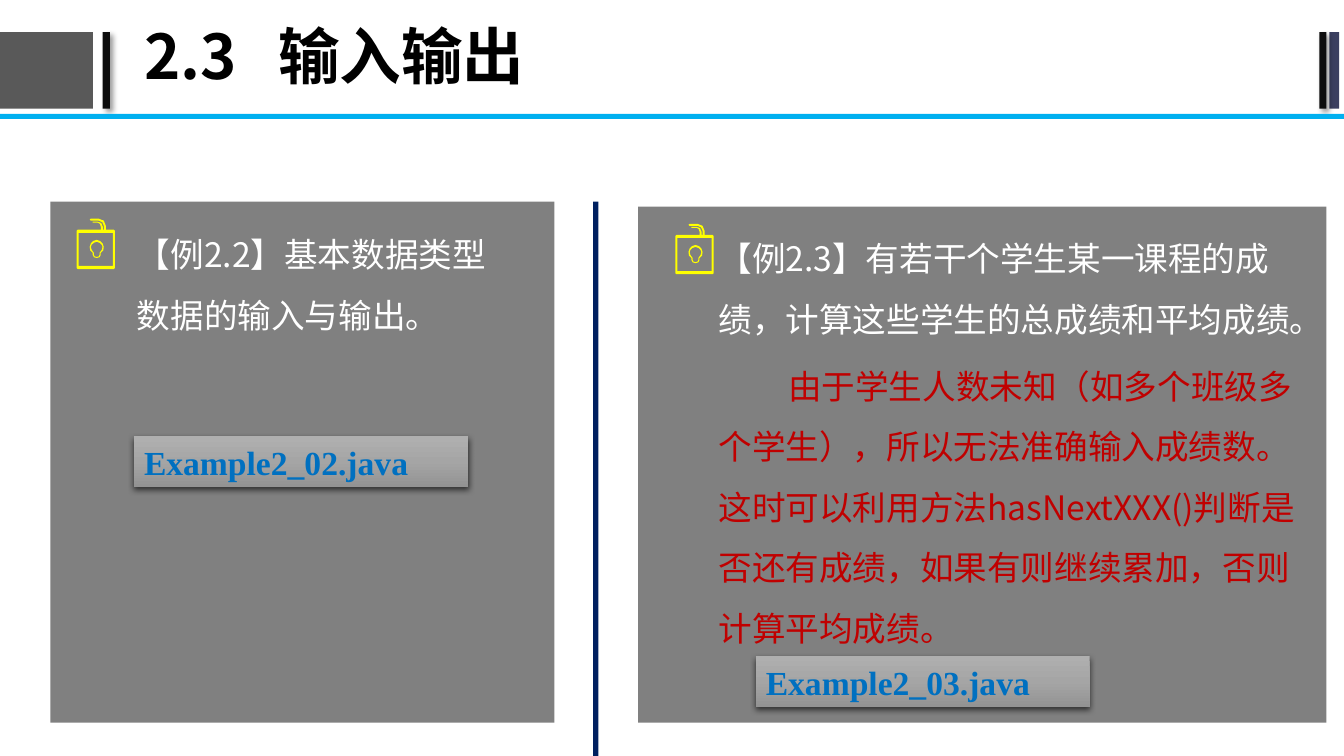
"""Build the slide on input and output with its two worked examples."""
from copy import deepcopy

from lxml.etree import SubElement as Sub
from pptx import Presentation as Deck
from pptx.dml.color import RGBColor as Color
from pptx.enum.shapes import MSO_SHAPE as Form
from pptx.enum.text import MSO_ANCHOR as Anchor, PP_ALIGN as Align
from pptx.oxml.ns import qn
from pptx.util import Cm, Pt

HUES = {
    "black": "000000", "ink": "0D0D0D", "slate": "595959", "dusk": "3B3F60",
    "sky": "00B0F0", "navy": "002060", "gray": "808080", "gold": "FFFF00",
    "white": "FFFFFF", "red": "C00000", "blue": "0070C0",
    "light": "AFAFAF", "mid": "A5A5A5", "dark": "939393",
}
SANS, SERIF = "Noto Sans CJK SC", "Times New Roman"

CASE = [
    [(370, 110), (290, 110), (290, 70), (270, 20), (220, 0), (140, 0),
     (130, 10), (140, 20), (220, 20), (255, 35), (270, 70), (270, 110),
     (260, 110), (260, 80), (245, 43), (210, 30), (160, 30), (160, 40),
     (210, 40), (232, 52), (240, 80), (240, 110), (10, 110), (0, 120),
     (0, 490), (10, 500), (370, 500), (380, 490), (380, 120)],
    [(360, 470), (20, 470), (20, 140), (360, 140)],
]
BULB = [
    [(200, 210), (235, 222), (258, 245), (270, 280), (265, 315),
     (240, 340), (240, 360), (228, 383), (200, 390)],
    [(200, 230), (230, 240), (250, 260), (258, 280), (250, 310),
     (235, 330), (228, 340), (228, 360), (220, 375), (200, 380)],
]


def tint(name):
    return Color.from_string(HUES[name])


def mirror(half):
    return half + [(400 - x, y) for x, y in half[-2:0:-1]]


def write(par, text, size=24, face=SANS, hue="white", bold=False,
          lines=None, before=None, indent=None, tab=None):
    props = par._p.get_or_add_pPr()
    if indent:
        props.set("indent", str(Cm(indent)))
    if tab:
        stops = Sub(props, qn("a:tabLst"))
        Sub(stops, qn("a:tab"), pos=str(Cm(tab)), algn="l")
    par.alignment = Align.LEFT
    if lines:
        par.line_spacing = lines
    if before:
        par.space_before = Pt(before)
    run = par.add_run()
    run.text = text
    font = run.font
    font.size, font.name, font.bold = Pt(size), face, bold
    font.color.rgb = tint(hue)
    Sub(run._r.get_or_add_rPr(), qn("a:ea"), typeface=face)


class Page:
    def __init__(self, slide):
        self.shapes = slide.shapes

    def block(self, x, y, wide, high, hue, shade=None):
        box = self.shapes.add_shape(
            Form.RECTANGLE, Cm(x), Cm(y), Cm(wide), Cm(high))
        box.fill.solid()
        box.fill.fore_color.rgb = tint(hue)
        box.line.fill.background()
        box.shadow.inherit = False
        if shade:
            self.shade(box, *shade)
        return box

    def shade(self, box, alpha, blur, dist, angle):
        effect = box._element.spPr.find(qn("a:effectLst"))
        drop = Sub(effect, qn("a:outerShdw"), blurRad=str(Pt(blur)),
                   dist=str(Pt(dist)), dir=str(angle * 60000),
                   algn="ctr", rotWithShape="0")
        tone = Sub(drop, qn("a:srgbClr"), val=HUES["black"])
        Sub(tone, qn("a:alpha"), val=str(alpha * 1000))

    def trace(self, x, y, loops):
        first, *rest = loops
        pen = self.shapes.build_freeform(*first[0], scale=Cm(0.00254))
        pen.add_line_segments(first[1:], close=True)
        for loop in rest:
            pen.move_to(*loop[0])
            pen.add_line_segments(loop[1:], close=True)
        part = pen.convert_to_shape(Cm(x), Cm(y))
        part.fill.solid()
        part.fill.fore_color.rgb = tint("gold")
        part.line.fill.background()
        part.shadow.inherit = False
        return part

    def icon(self, x, y):
        bulb = [mirror(half) for half in BULB]
        self.shapes.add_group_shape(
            [self.trace(x, y, loops) for loops in (CASE, bulb)])

    def text(self, x, y, wide, high, items, pad=(0.33, 0.18),
             anchor=Anchor.TOP):
        box = self.shapes.add_textbox(Cm(x), Cm(y), Cm(wide), Cm(high))
        frame = box.text_frame
        frame.word_wrap = True
        frame.vertical_anchor = anchor
        frame.margin_left = frame.margin_right = Cm(pad[0])
        frame.margin_top = frame.margin_bottom = Cm(pad[1])
        for spot, (words, style) in enumerate(items):
            par = frame.add_paragraph() if spot else frame.paragraphs[0]
            write(par, words, **style)

    def label(self, x, y, words):
        box = self.block(x, y, 8.41, 1.27, "mid", (63, 4.5, 1.5, 90))
        box.fill.gradient()
        box.fill.gradient_angle = 270
        stops = box._element.spPr.find(qn("a:gradFill")).find(qn("a:gsLst"))
        stops.insert(1, deepcopy(stops[0]))
        ramp = zip(box.fill.gradient_stops, ("light", "mid", "dark"))
        for rank, (stop, hue) in enumerate(ramp):
            stop.position = rank / 2
            stop.color.rgb = tint(hue)
        box.text_frame.vertical_anchor = Anchor.MIDDLE
        write(box.text_frame.paragraphs[0], words, face=SERIF, hue="blue",
              bold=True)


def main():
    deck = Deck()
    deck.slide_width, deck.slide_height = Cm(33.87), Cm(19.05)
    page = Page(deck.slides.add_slide(deck.slide_layouts[6]))

    soft = (40, 4, 3, 45)
    for x, wide, hue, shade in (
            (0, 2.34, "slate", None), (2.59, 0.18, "ink", soft),
            (33.5, 0.25, "dusk", None), (33.25, 0.18, "ink", soft)):
        page.block(x, 0.81, wide, 1.93, hue, shade)
    page.text(3.38, 0, 28.58, 3, [
        ("2.3\t输入输出",
         dict(size=44, hue="black", bold=True, lines=0.9, tab=3.38)),
    ], pad=(0.25, 0.13), anchor=Anchor.MIDDLE)
    page.block(0, 2.87, 33.87, 0.13, "sky")

    page.block(1.27, 5.08, 12.7, 13.13, "gray")
    page.icon(1.93, 5.51)
    page.text(3.12, 5.21, 10.01, 11, [
        ("【例2.2】基本数据类型数据的输入与输出。", dict(lines=1.5)),
    ])
    page.block(14.95, 5.08, 0.13, 13.97, "navy")

    page.block(16.08, 5.21, 17.35, 13, "gray")
    page.icon(17.02, 5.64)
    page.text(17.78, 5.31, 15.24, 11, [
        ("【例2.3】有若干个学生某一课程的成绩，计算这些学生的总成绩和平均成绩。",
         dict(lines=1.5)),
        ("由于学生人数未知（如多个班级多个学生），所以无法准确输入成绩数。"
         "这时可以利用方法hasNextXXX()判断是否还有成绩，如果有则继续累加，"
         "否则计算平均成绩。",
         dict(hue="red", lines=1.5, before=4.8, indent=1.75)),
    ])

    page.label(3.38, 11, "Example2_02.java")
    page.label(19.05, 16.54, "Example2_03.java")
    deck.save("out.pptx")


if __name__ == "__main__":
    main()
